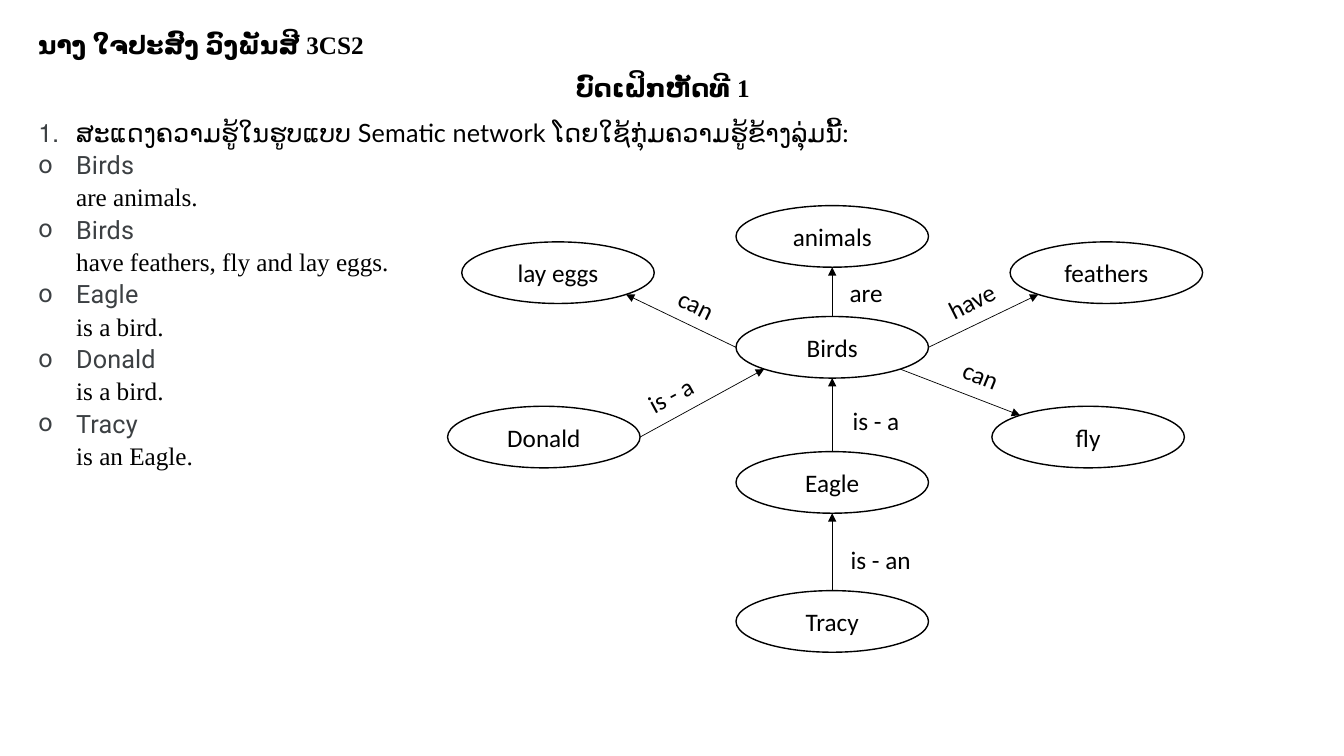
import math

from lxml import etree
from pptx import Presentation
from pptx.dml.color import RGBColor
from pptx.enum.shapes import MSO_CONNECTOR, MSO_SHAPE
from pptx.enum.text import MSO_ANCHOR, MSO_AUTO_SIZE, PP_ALIGN
from pptx.oxml.ns import qn
from pptx.util import Pt

BLACK = RGBColor(0x00, 0x00, 0x00)
WHITE = RGBColor(0xFF, 0xFF, 0xFF)
GRAY = RGBColor(0x3C, 0x40, 0x43)
SERIF, SANS, LIST_FONT, LATO = "Times New Roman", "Calibri", "Roboto", "Lato"
ELLIPSE, STRAIGHT = MSO_SHAPE.OVAL, MSO_CONNECTOR.STRAIGHT
LEFT, CENTER = PP_ALIGN.LEFT, PP_ALIGN.CENTER
TOP, MIDDLE = MSO_ANCHOR.TOP, MSO_ANCHOR.MIDDLE
FIXED = MSO_AUTO_SIZE.NONE

# Connection sites of an ellipse, counted anticlockwise from the top
SITE_TOP, SITE_TOP_LEFT, SITE_LEFT, SITE_BOTTOM_LEFT = 0, 1, 2, 3
SITE_BOTTOM, SITE_BOTTOM_RIGHT, SITE_RIGHT = 4, 5, 6

NODE_WIDTH, NODE_HEIGHT = 137.5, 44
LABEL_WIDTH, LABEL_HEIGHT = 73.5, 29
CENTER_COLUMN, UPPER_ROW, LOWER_ROW = 206, 25.9, 143.3

NODES = {
    "animals": (CENTER_COLUMN, 0),
    "Birds": (CENTER_COLUMN, 79.2),
    "Eagle": (CENTER_COLUMN, 175.7),
    "Tracy": (CENTER_COLUMN, 275),
    "lay eggs": (10.1, UPPER_ROW),
    "feathers": (401.8, UPPER_ROW),
    "Donald": (0, LOWER_ROW),
    "fly": (388.8, LOWER_ROW),
}

# Source, its site, target, its site, label, label left, label top, rotation
RELATIONS = [
    ("Birds", SITE_TOP, "animals", SITE_BOTTOM, "are", 280.1, 47.5, 0),
    ("Birds", SITE_RIGHT, "feathers", SITE_BOTTOM_LEFT, "have", 348.5, 48.2, 333.2),
    ("Birds", SITE_BOTTOM_RIGHT, "fly", SITE_TOP_LEFT, "can", 360, 113, 22.4),
    ("Eagle", SITE_TOP, "Birds", SITE_BOTTOM, "is - a", 282.2, 139, 0),
    ("Birds", SITE_LEFT, "lay eggs", SITE_BOTTOM_RIGHT, "can", 156.2, 63.4, 26.1),
    ("Donald", SITE_RIGHT, "Birds", SITE_BOTTOM_LEFT, "is - a", 133.9, 114.5, 331.5),
    ("Tracy", SITE_TOP, "Eagle", SITE_BOTTOM, "is - an", 280.8, 238.3, 0),
]

FACTS = [
    ("Birds", "are animals."),
    ("Birds", "have feathers, fly and lay eggs."),
    ("Eagle", "is a bird."),
    ("Donald", "is a bird."),
    ("Tracy", "is an Eagle."),
]


def add_text(paragraph, text, font=SANS, color=BLACK, bold=False, spacing=0):
    run = paragraph.add_run()
    run.text = text
    run.font.name = font
    run.font.size = Pt(18)
    run.font.bold = bold
    run.font.color.rgb = color
    if spacing:
        run.font._element.set("spc", str(round(spacing * 100)))


def place(shape, left, top, width, height):
    shape.left, shape.top = Pt(left), Pt(top)
    shape.width, shape.height = Pt(width), Pt(height)


def prepare_frame(shape, anchor=TOP):
    frame = shape.text_frame
    frame.word_wrap = True
    frame.auto_size = FIXED
    frame.vertical_anchor = anchor
    return frame


def format_paragraph(paragraph, align=LEFT, after=0):
    paragraph.alignment = align
    paragraph.line_spacing = 1.07
    paragraph.space_before = Pt(0)
    paragraph.space_after = Pt(after)


def add_bullet(paragraph, tag, **attributes):
    properties = paragraph._p.get_or_add_pPr()
    properties.set("marL", str(Pt(27)))
    properties.set("indent", str(-Pt(27)))
    color = etree.SubElement(properties, qn("a:buClr"))
    etree.SubElement(color, qn("a:srgbClr"), val=str(GRAY))
    etree.SubElement(properties, qn("a:buFont"), typeface=LIST_FONT)
    etree.SubElement(properties, qn(tag), **attributes)


def add_heading(slide, left, top, width):
    author = slide.shapes.add_textbox(Pt(left), Pt(top), Pt(width), Pt(30))
    title = slide.shapes.title
    place(title, left, top + 31, width, 30)
    for shape, text, align in (
        (author, "ນາງ ໃຈປະສົງ ວົງພັນສີ 3CS2", LEFT),
        (title, "ບົດເຝິກຫັດທີ 1", CENTER),
    ):
        paragraph = prepare_frame(shape).paragraphs[0]
        format_paragraph(paragraph, align, after=8)
        add_text(paragraph, text, font=SERIF, bold=True)


def add_exercise(slide, left, top, width, height):
    body = slide.placeholders[1]
    place(body, left, top, width, height)
    frame = prepare_frame(body)

    # Numbered task
    task = frame.paragraphs[0]
    format_paragraph(task)
    add_bullet(task, "a:buAutoNum", type="arabicPeriod")
    add_text(task, "ສະແດງຄວາມຮູ້ໃນຮູບແບບ ", font=SERIF, spacing=0.1)
    add_text(task, "Sematic network ໂດຍໃຊ້ກຸ່ມຄວາມຮູ້ຂ້າງລຸ່ມນີ້:", font=LATO, spacing=0.1)

    # Facts
    for subject, statement in FACTS:
        paragraph = frame.add_paragraph()
        format_paragraph(paragraph)
        add_bullet(paragraph, "a:buChar", char="o")
        add_text(paragraph, subject, font=LIST_FONT, color=GRAY, spacing=0.1)
        paragraph.add_line_break()
        add_text(paragraph, statement, font=SERIF)


def add_node(slide, text, left, top):
    node = slide.shapes.add_shape(
        ELLIPSE, Pt(left), Pt(top), Pt(NODE_WIDTH), Pt(NODE_HEIGHT))
    node.shadow.inherit = False
    node.fill.solid()
    node.fill.fore_color.rgb = WHITE
    node.line.color.rgb = BLACK
    node.line.width = Pt(1)
    paragraph = prepare_frame(node, MIDDLE).paragraphs[0]
    paragraph.alignment = CENTER
    add_text(paragraph, text)
    return node


def site_point(node, site):
    angle = math.radians(90 + 45 * site)
    x = node.left + node.width / 2 * (1 + math.cos(angle))
    y = node.top + node.height / 2 * (1 - math.sin(angle))
    return round(x), round(y)


def add_arrow(slide, source, source_site, target, target_site):
    start, end = site_point(source, source_site), site_point(target, target_site)
    arrow = slide.shapes.add_connector(STRAIGHT, *start, *end)
    arrow.begin_connect(source, 0)
    arrow.end_connect(target, 0)
    # Ellipses have eight sites, so set the exact site and its point
    links = arrow._element.nvCxnSpPr.cNvCxnSpPr
    links.stCxn.set("idx", str(source_site))
    links.endCxn.set("idx", str(target_site))
    arrow.begin_x, arrow.begin_y = start
    arrow.end_x, arrow.end_y = end
    arrow.line.color.rgb = BLACK
    arrow.line.width = Pt(0.5)
    etree.SubElement(arrow.line._get_or_add_ln(), qn("a:tailEnd"), type="triangle")
    etree.SubElement(arrow._element.spPr, qn("a:effectLst"))


def add_network(slide, left, top):
    nodes = {text: add_node(slide, text, left + x, top + y)
             for text, (x, y) in NODES.items()}
    for source, source_site, target, target_site, text, x, y, rotation in RELATIONS:
        add_arrow(slide, nodes[source], source_site, nodes[target], target_site)
        label = slide.shapes.add_textbox(
            Pt(left + x), Pt(top + y), Pt(LABEL_WIDTH), Pt(LABEL_HEIGHT))
        label.rotation = rotation
        add_text(prepare_frame(label).paragraphs[0], text)


presentation = Presentation()
presentation.slide_width, presentation.slide_height = Pt(960), Pt(540)
slide = presentation.slides.add_slide(presentation.slide_layouts[1])
add_heading(slide, 20.2, 15.8, 906.5)
add_exercise(slide, 20.2, 78.5, 906.5, 286)
add_network(slide, 319.7, 146.9)
presentation.save("out.pptx")
